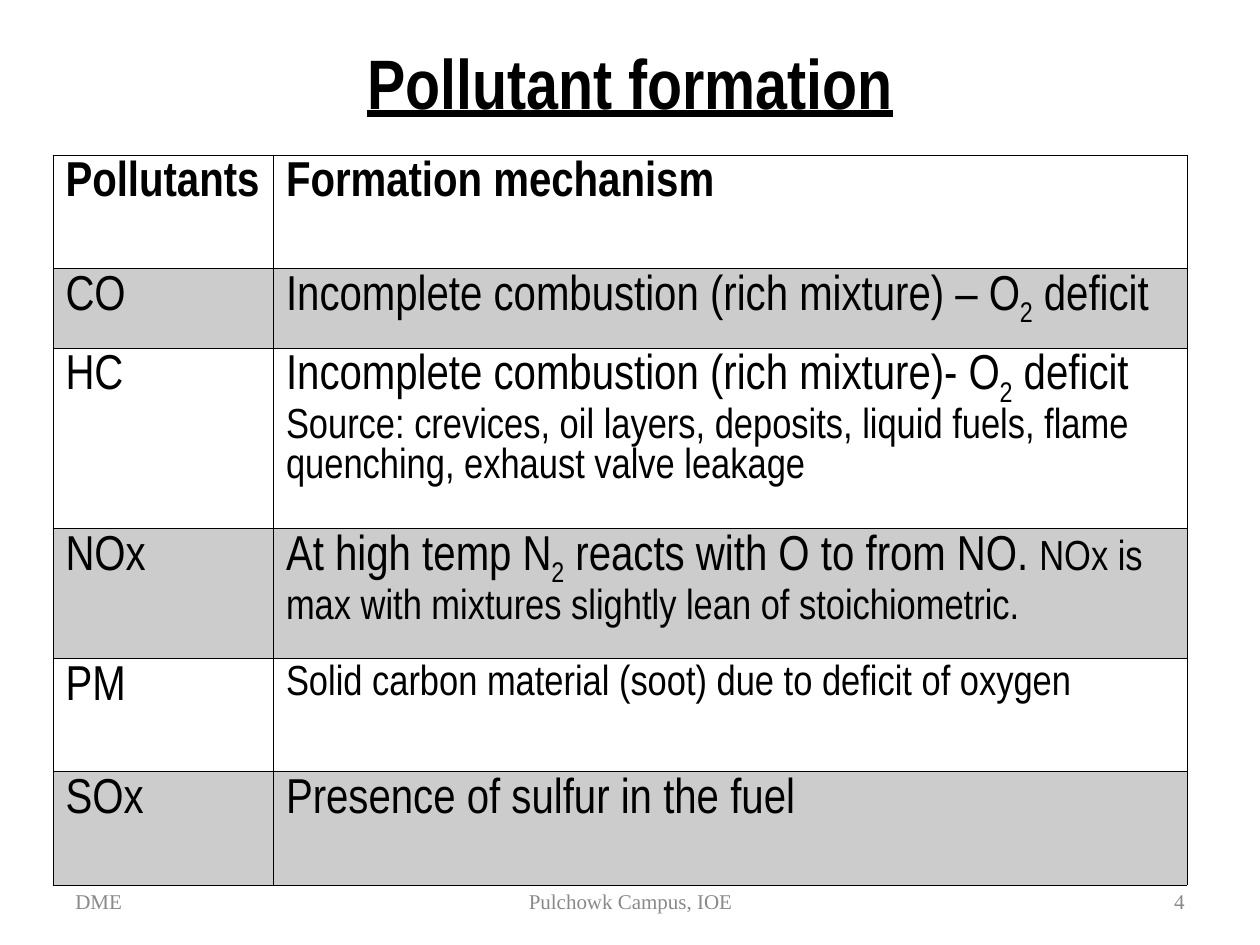
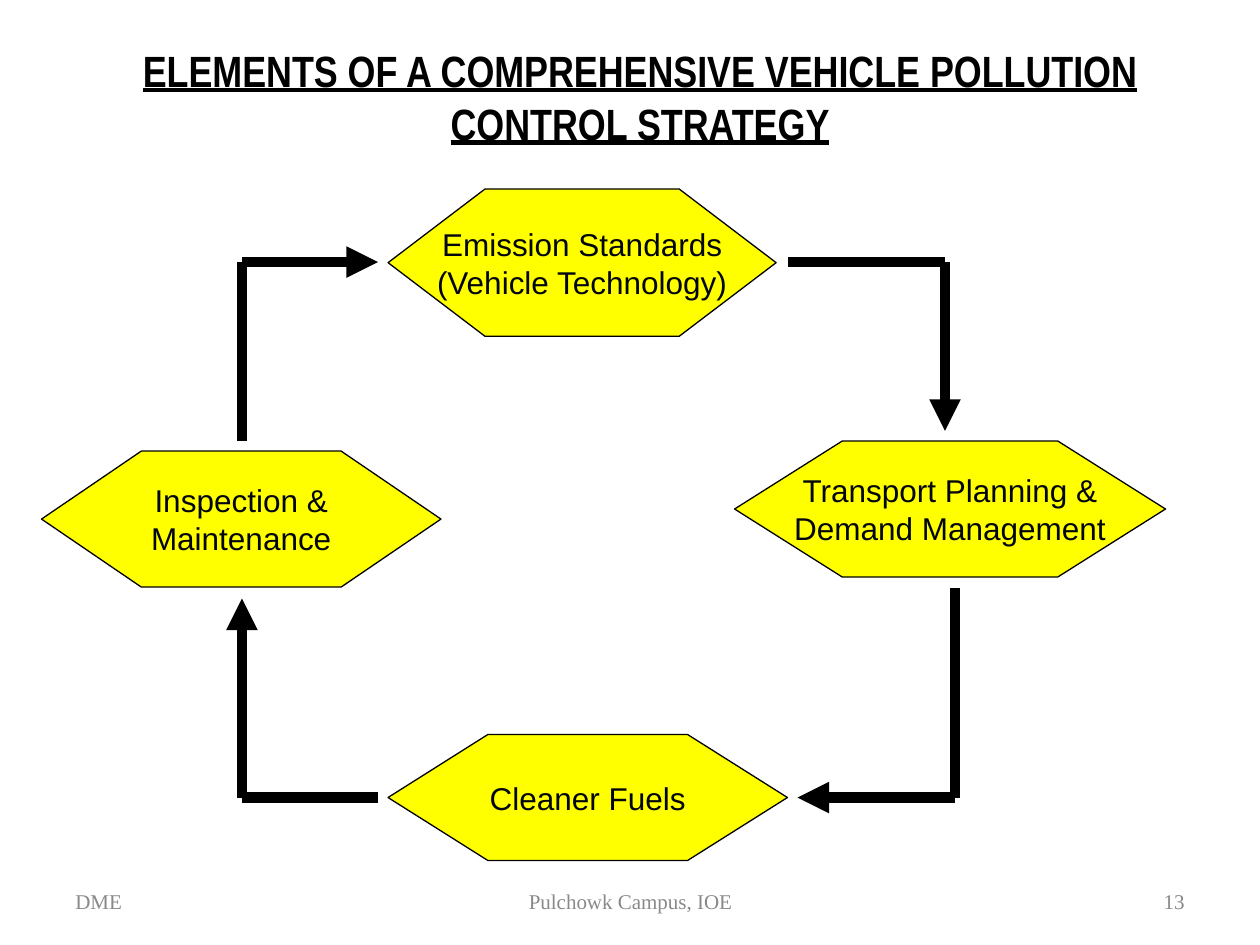
"""Builds two slides on vehicle pollutants and the strategy to control them."""
from itertools import pairwise

from lxml.etree import SubElement
from pptx import Presentation
from pptx.dml.color import RGBColor
from pptx.enum.shapes import MSO_CONNECTOR, MSO_SHAPE
from pptx.enum.text import MSO_ANCHOR, PP_ALIGN
from pptx.oxml.ns import qn
from pptx.util import Inches, Pt

BLACK, WHITE, GRAY_BAND, FOOTER_GRAY = "000000", "FFFFFF", "CCCCCC", "898989"
YELLOW, INK = "FFFF00", "03070D"
NARROW, SERIF, SANS = "Arial Narrow", "Times New Roman", "Arial"


def rgb(color):
    return RGBColor.from_string(color)


def style(paragraph, face, size, color, align=PP_ALIGN.LEFT, bold=False, underline=False):
    paragraph.alignment = align
    font = paragraph.font
    font.name, font.size, font.bold, font.underline = face, Pt(size), bold, underline
    font.color.rgb = rgb(color)


prs = Presentation()
prs.slide_width, prs.slide_height = Inches(10), Inches(7.5)

pages = [
    ("Pollutant formation", 40, (0.5, 0.3, 9, 0.7), "4"),
    ("ELEMENTS OF A COMPREHENSIVE VEHICLE POLLUTION CONTROL STRATEGY", 25,
     (0.83, 0.25, 8.5, 1.03), "13"),
]
for title, title_size, title_area, number in pages:
    slide = prs.slides.add_slide(prs.slide_layouts[6])
    texts = [
        (title, title_area, (NARROW, title_size, BLACK, PP_ALIGN.CENTER, True, True)),
        ("DME", (0.5, 6.95, 2.33, 0.4), (SERIF, 12, FOOTER_GRAY)),
        ("Pulchowk Campus, IOE", (3.42, 6.95, 3.17, 0.4),
         (SERIF, 12, FOOTER_GRAY, PP_ALIGN.CENTER)),
        (number, (7.17, 6.95, 2.33, 0.4), (SERIF, 12, FOOTER_GRAY, PP_ALIGN.RIGHT)),
    ]
    for words, area, look in texts:
        frame = slide.shapes.add_textbox(*map(Inches, area)).text_frame
        frame.word_wrap = True
        frame.vertical_anchor = MSO_ANCHOR.MIDDLE
        frame.text = words
        style(frame.paragraphs[0], *look)
formation, strategy = prs.slides

LARGE, SMALL = 28, 24
SUBSCRIPT_TWO = ("2", LARGE, True)
DEFICIT = (" deficit", LARGE, False)
mechanisms = [
    ("Pollutants", 0.9, [[("Formation mechanism", LARGE, False)]]),
    ("CO", 0.62, [[("Incomplete combustion (rich mixture) – O", LARGE, False),
                   SUBSCRIPT_TWO, DEFICIT]]),
    ("HC", 1.37, [[("Incomplete combustion (rich mixture)- O", LARGE, False),
                   SUBSCRIPT_TWO, DEFICIT],
                  [("Source: crevices, oil layers, deposits, liquid fuels, flame "
                    "quenching, exhaust valve leakage", SMALL, False)]]),
    ("NOx", 0.98, [[("At high temp N", LARGE, False), SUBSCRIPT_TWO,
                    (" reacts with O to from NO. ", LARGE, False),
                    ("NOx is max with mixtures slightly lean of stoichiometric.",
                     SMALL, False)]]),
    ("PM", 0.9, [[("Solid carbon material (soot) due to deficit of oxygen", SMALL, False)]]),
    ("SOx", 0.9, [[("Presence of sulfur in the fuel", LARGE, False)]]),
]
table = formation.shapes.add_table(
    len(mechanisms), 2, Inches(0.42), Inches(1.23), Inches(9), Inches(5.66)).table
table.first_row = table.horz_banding = False
table.columns[0].width, table.columns[1].width = Inches(1.75), Inches(7.25)

for row, (pollutant, height, mechanism) in enumerate(mechanisms):
    table.rows[row].height = Inches(height)
    for column, paragraphs in enumerate([[[(pollutant, LARGE, False)]], mechanism]):
        cell = table.cell(row, column)
        properties = cell._tc.get_or_add_tcPr()
        for side in "LRTB":
            header_rule = (row, side) in [(0, "B"), (1, "T")]
            border = SubElement(properties, qn(f"a:ln{side}"),
                                w=str(Pt(0.96 if header_rule else 0.45)))
            SubElement(SubElement(border, qn("a:solidFill")), qn("a:srgbClr"), val=BLACK)
        cell.fill.solid()
        cell.fill.fore_color.rgb = rgb(GRAY_BAND if row % 2 else WHITE)
        for index, runs in enumerate(paragraphs):
            frame = cell.text_frame
            paragraph = frame.add_paragraph() if index else frame.paragraphs[0]
            style(paragraph, NARROW, runs[0][1], BLACK, bold=row == 0)
            for words, size, subscript in runs:
                run = paragraph.add_run()
                run.text = words
                if size != runs[0][1]:
                    run.font.size = Pt(size)
                if subscript:
                    run._r.get_or_add_rPr().set("baseline", "-25000")

elements = [
    ("Inspection &\nMaintenance", 0.33, 3.58, 3.17, 1.08),
    ("Emission Standards\n(Vehicle Technology)", 3.08, 1.5, 3.08, 1.17),
    ("Transport Planning &\nDemand Management", 5.83, 3.5, 3.42, 1.08),
    ("Cleaner Fuels", 3.08, 5.83, 3.17, 1),
]
for words, left, top, width, height in elements:
    hexagon = strategy.shapes.add_shape(
        MSO_SHAPE.HEXAGON, Inches(left), Inches(top), Inches(width), Inches(height))
    hexagon.adjustments[0] = width / 4 / height
    hexagon.shadow.inherit = False
    hexagon.fill.solid()
    hexagon.fill.fore_color.rgb = rgb(YELLOW)
    hexagon.line.color.rgb = rgb(BLACK)
    hexagon.line.width = Pt(0.75)
    frame = hexagon.text_frame
    frame.word_wrap = False
    frame.vertical_anchor = MSO_ANCHOR.MIDDLE
    frame.text = words
    for paragraph in frame.paragraphs:
        style(paragraph, SANS, 18, INK, PP_ALIGN.CENTER)

cycle_arrows = [
    [(1.92, 3.5), (1.92, 2.08), (3, 2.08)],
    [(6.25, 2.08), (7.5, 2.08), (7.5, 3.42)],
    [(7.58, 4.67), (7.58, 6.33), (6.33, 6.33)],
    [(3, 6.33), (1.92, 6.33), (1.92, 4.75)],
]
for corners in cycle_arrows:
    for start, end in pairwise(corners):
        segment = strategy.shapes.add_connector(
            MSO_CONNECTOR.STRAIGHT, *map(Inches, start + end))
        segment.line.color.rgb = rgb(BLACK)
        segment.line.width = Pt(6)
        properties = segment._element.spPr
        if end == corners[-1]:
            SubElement(properties.find(qn("a:ln")), qn("a:tailEnd"), type="triangle")
        SubElement(properties, qn("a:effectLst"))

prs.save("out.pptx")
